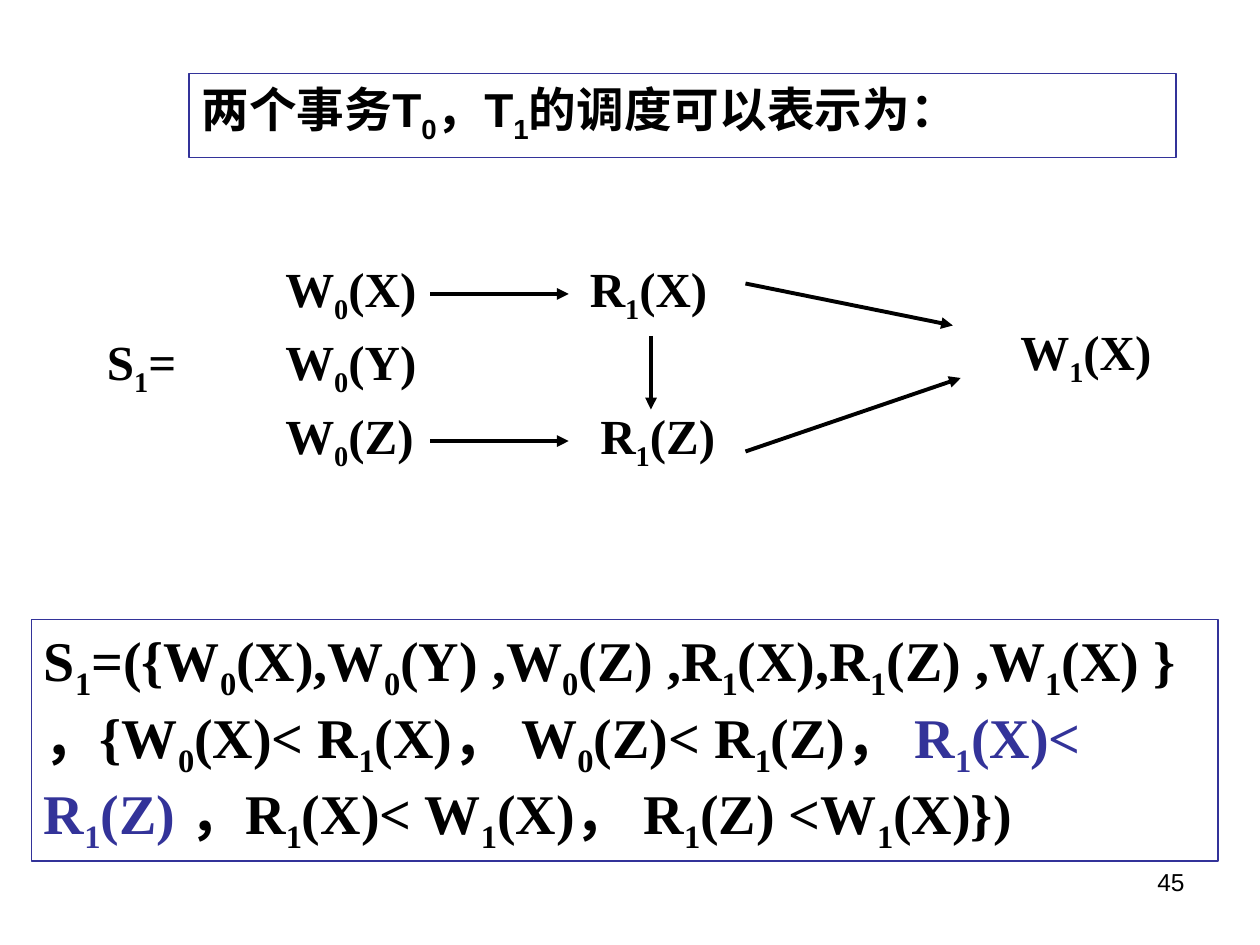
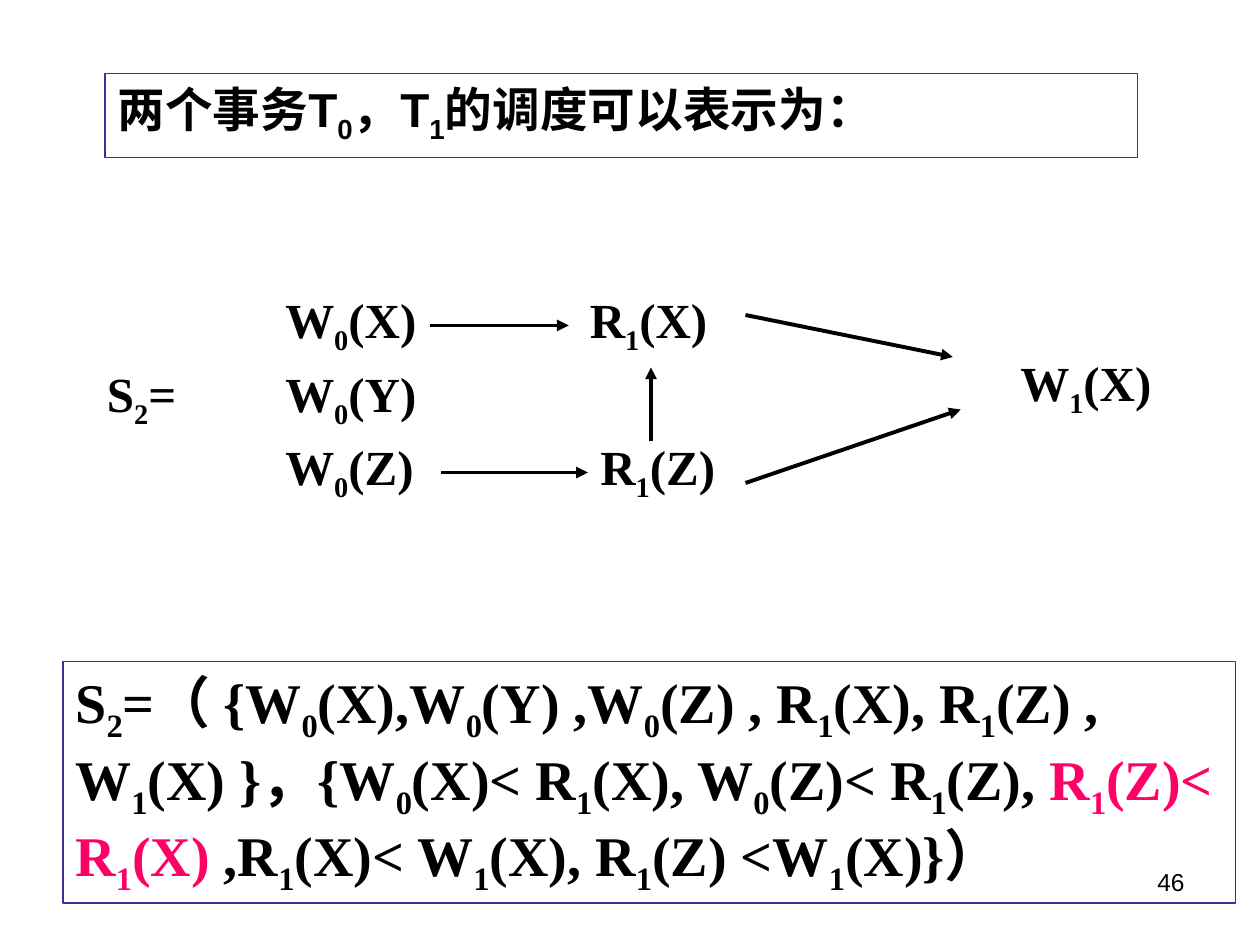
from itertools import groupby

from lxml import etree
from pptx import Presentation
from pptx import util as u
from pptx.dml.color import RGBColor
from pptx.enum import shapes, text
from pptx.oxml import ns

COLOURS = {"ink": "000000", "paper": "FFFFFF", "frame": "333399", "pink": "FF0066"}
SERIF, SANS = "Times New Roman", "Arial"
TITLE = "两个事务T0，T1的调度可以表示为："
TITLE_ONLY_LAYOUT = 5

ROW_PITCH = 42
WRITE_X, READ_X_X, READ_Z_X, LAST_WRITE_X, NAME_X = 156, 330, 336, 576, 54
LABEL_WIDTH, LABEL_HEIGHT = 108, 45


def rgb(name):
    return RGBColor.from_string(COLOURS[name])


def points(*lengths):
    return [u.Pt(length) for length in lengths]


def write_formula(paragraph, content, size, font_name, colour="ink", bold=True):
    """Add the content run by run, with every number set as a subscript."""
    for is_index, letters in groupby(content, str.isdigit):
        run = paragraph.add_run()
        run.text = "".join(letters)
        font = run.font
        font.name, font.size, font.bold = font_name, u.Pt(size), bold
        font.color.rgb = rgb(colour)
        if is_index:
            font._element.set("baseline", "-25000")


def prepare_frame(shape, auto_size):
    frame = shape.text_frame
    frame.word_wrap = True
    frame.auto_size = auto_size
    frame.vertical_anchor = text.MSO_ANCHOR.TOP
    paragraph = frame.paragraphs[0]
    paragraph.alignment = text.PP_ALIGN.LEFT
    return paragraph


def outline(shape, width):
    shape.fill.solid()
    shape.fill.fore_color.rgb = rgb("paper")
    shape.line.color.rgb = rgb("frame")
    shape.line.width = u.Pt(width)


def set_title(slide, left, width):
    title = slide.shapes.title
    title.left, title.top, title.width, title.height = points(left, 42, width, 48)
    outline(title, 0.75)
    paragraph = prepare_frame(title, text.MSO_AUTO_SIZE.NONE)
    write_formula(paragraph, TITLE, 27.2, SANS)


def add_label(group, content, left, top, width=LABEL_WIDTH):
    label = group.shapes.add_textbox(*points(left, top, width, LABEL_HEIGHT))
    paragraph = prepare_frame(label, text.MSO_AUTO_SIZE.SHAPE_TO_FIT_TEXT)
    write_formula(paragraph, content, 28, SERIF)


def add_arrow(group, start, end):
    arrow = group.shapes.add_connector(
        shapes.MSO_CONNECTOR.STRAIGHT, *points(*start, *end))
    arrow.line.color.rgb = rgb("ink")
    arrow.line.width = u.Pt(2.25)
    etree.SubElement(arrow.line._get_or_add_ln(), ns.qn("a:tailEnd"), type="triangle")
    etree.SubElement(arrow._element.spPr, ns.qn("a:effectLst"))


def add_schedule_graph(slide, name, top, read_order, lower_arrow):
    """Draw the operations and their order; read_order is the vertical arrow."""
    group = slide.shapes.add_group_shape()
    for row, item in enumerate("XYZ"):
        add_label(group, f"W0({item})", WRITE_X, top + row * ROW_PITCH)
    add_label(group, "R1(X)", READ_X_X, top)
    add_label(group, "R1(Z)", READ_Z_X, top + 2 * ROW_PITCH)
    add_label(group, "W1(X)", LAST_WRITE_X, top + 36)
    add_label(group, f"{name}=", NAME_X, top + ROW_PITCH, 93)

    arrows = [
        ((246, 24), (325, 24)),
        lower_arrow,
        ((426, 18), (544.5, 42)),
        ((426, 114), (549, 72)),
        read_order,
    ]
    for (x1, y1), (x2, y2) in arrows:
        add_arrow(group, (x1, top + y1), (x2, top + y2))


def add_schedule_box(slide, left, top, width, parts):
    box = slide.shapes.add_shape(
        shapes.MSO_SHAPE.RECTANGLE, *points(left, top, width, 138))
    box.shadow.inherit = False
    outline(box, 1)
    paragraph = prepare_frame(box, text.MSO_AUTO_SIZE.SHAPE_TO_FIT_TEXT)
    for content, colour in parts:
        write_formula(paragraph, content, 32, SERIF, colour)


def add_page_number(slide, number):
    box = slide.shapes.add_textbox(*points(516, 492, 168, 37))
    paragraph = prepare_frame(box, text.MSO_AUTO_SIZE.NONE)
    paragraph.alignment = text.PP_ALIGN.RIGHT
    run = paragraph.add_run()
    run.text = str(number)
    run.font.name, run.font.size = SANS, u.Pt(14)
    run.font.color.rgb = rgb("ink")


def main():
    presentation = Presentation()
    presentation.slide_width, presentation.slide_height = points(720, 540)
    layout = presentation.slide_layouts[TITLE_ONLY_LAYOUT]
    read_x_end, read_z_end = (372, 48), (372, 90)

    slide = presentation.slides.add_slide(layout)
    set_title(slide, 108, 564)
    add_schedule_graph(slide, "S1", 144, (read_x_end, read_z_end),
                       ((246, 108), (325, 108)))
    add_schedule_box(slide, 18, 354, 678, [
        ("S1=({W0(X),W0(Y) ,W0(Z) ,R1(X),R1(Z) ,W1(X) }，"
         "{W0(X)< R1(X)， W0(Z)< R1(Z)， ", "ink"),
        ("R1(X)< R1(Z) ", "frame"),
        ("，R1(X)< W1(X)， R1(Z) <W1(X)})", "ink"),
    ])
    add_page_number(slide, 45)

    slide = presentation.slides.add_slide(layout)
    set_title(slide, 60, 590)
    add_schedule_graph(slide, "S2", 162, (read_z_end, read_x_end),
                       ((252, 108), (336, 108)))
    add_schedule_box(slide, 36, 378, 670, [
        ("S2=（ {W0(X),W0(Y) ,W0(Z) , R1(X), R1(Z) , W1(X) }，"
         "{W0(X)< R1(X), W0(Z)< R1(Z), ", "ink"),
        ("R1(Z)< R1(X)", "pink"),
        (" ,R1(X)< W1(X), R1(Z) <W1(X)}）", "ink"),
    ])
    add_page_number(slide, 46)

    presentation.save("out.pptx")


if __name__ == "__main__":
    main()
